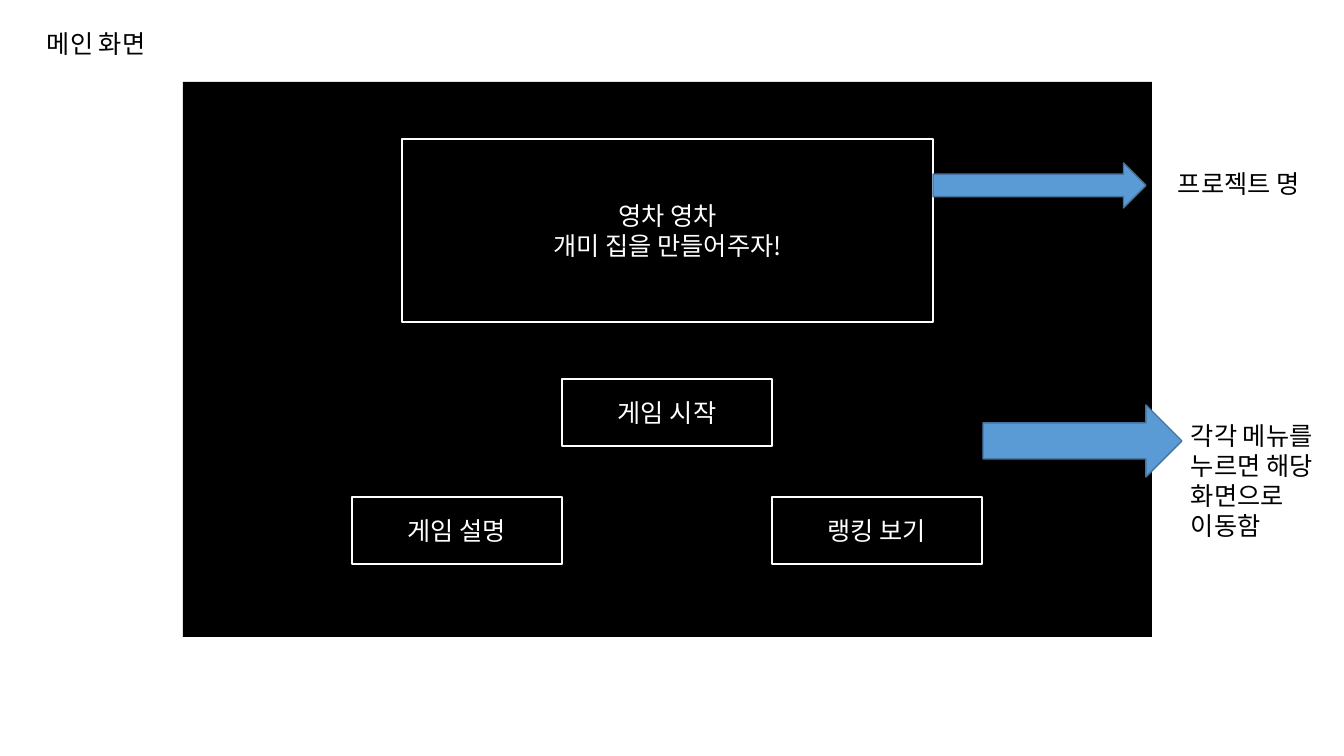
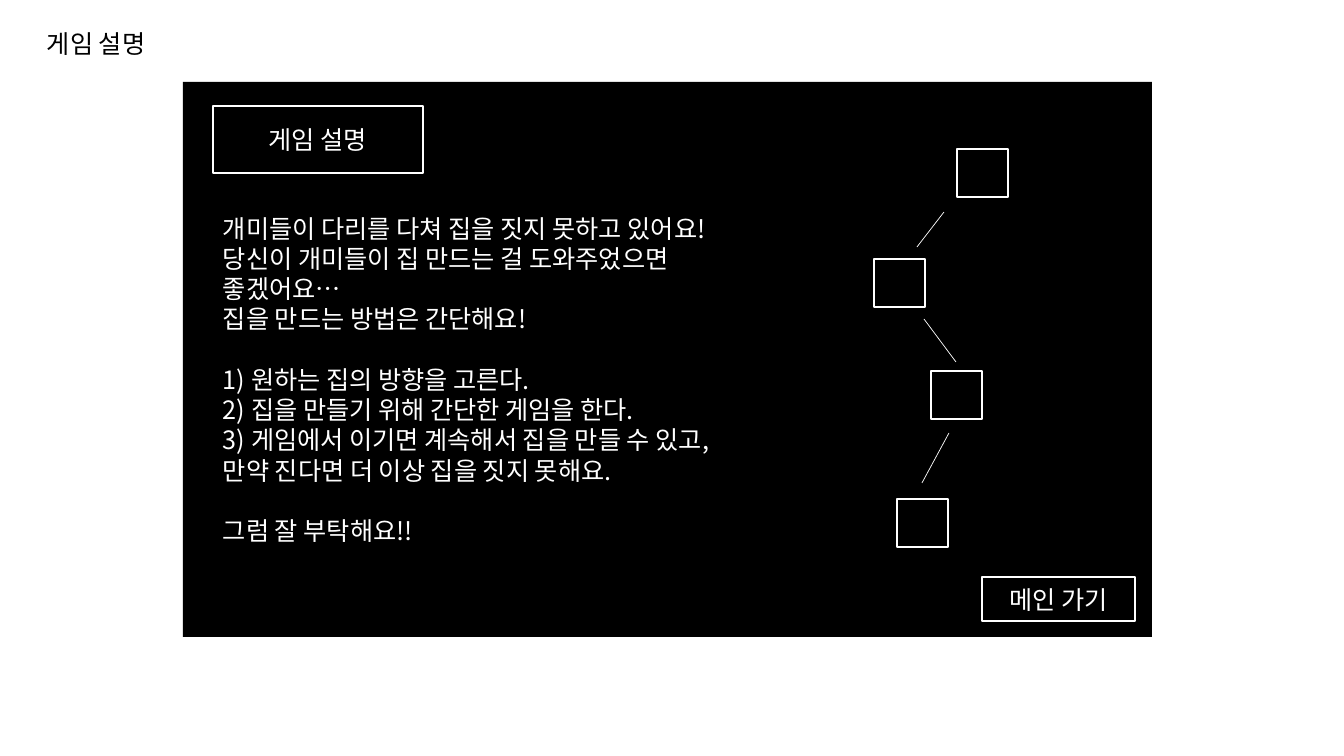
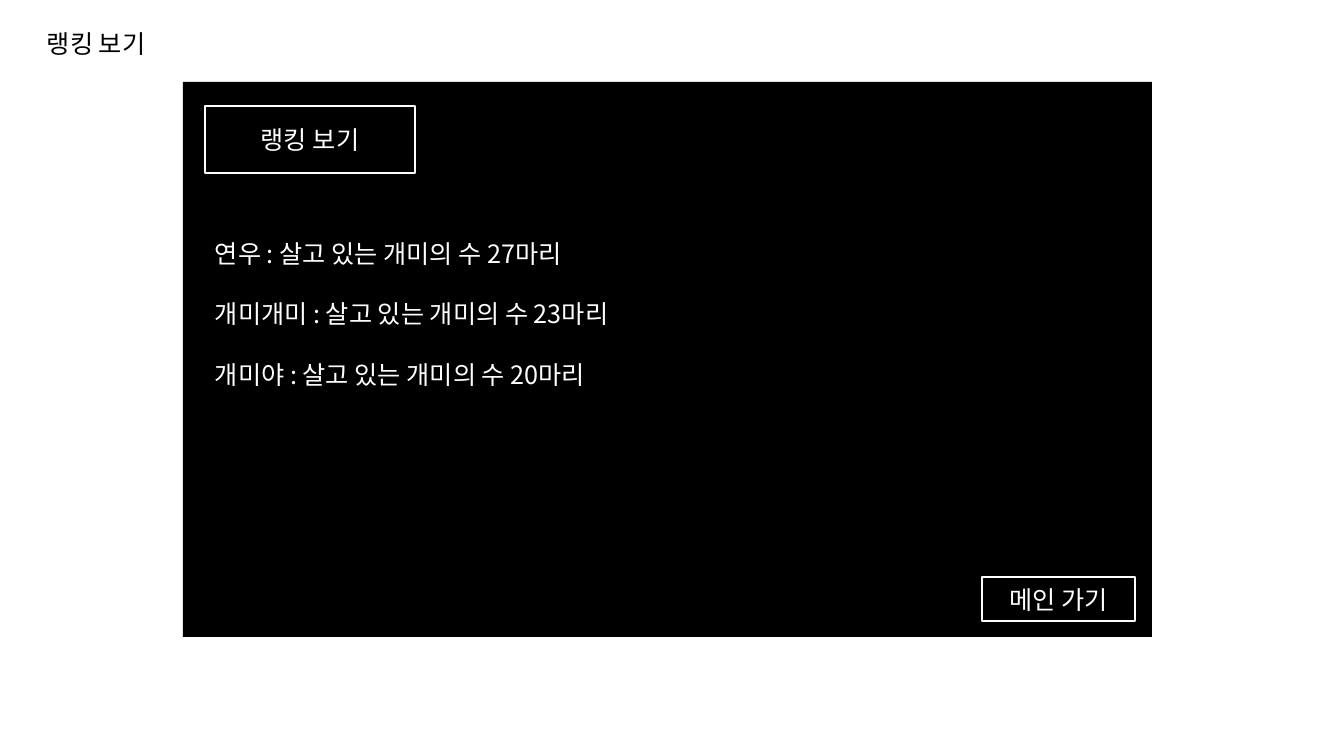
from lxml import etree
from pptx import Presentation, util as u
from pptx.dml.color import RGBColor
from pptx.enum import shapes, text
from pptx.oxml import ns

PIXEL = u.Inches(1) / 100.8
FONT = "Noto Sans CJK KR"
TEXT_SIZE = u.Pt(18)
LINE_GAP = u.Pt(21.6)
BLACK = RGBColor(0x00, 0x00, 0x00)
WHITE = RGBColor(0xFF, 0xFF, 0xFF)
BLUE = RGBColor(0x5B, 0x9B, 0xD5)
DARK_BLUE = RGBColor(0x43, 0x73, 0x9E)
BUTTON_WIDTH, BUTTON_HEIGHT = 210, 67


def px(*lengths):
    """Turn pixels into EMU."""
    return [u.Emu(round(length * PIXEL)) for length in lengths]


def write(shape, content, color, align=text.PP_ALIGN.LEFT):
    """Fill a shape with text in the common style."""
    frame = shape.text_frame
    frame.word_wrap = True
    frame.text = content
    for paragraph in frame.paragraphs:
        paragraph.alignment = align
        for run in paragraph.runs:
            run.font.size = TEXT_SIZE
            run.font.name = FONT
            run.font.color.rgb = color
            east_asian = etree.SubElement(run.font._element, ns.qn("a:ea"))
            east_asian.set("typeface", FONT)


def add_label(slide, left, top, width, height, content, color=BLACK, gaps=()):
    """Add a text box; gaps lists the paragraphs preceded by a line of space."""
    box = slide.shapes.add_textbox(*px(left, top, width, height))
    write(box, content, color)
    for index in gaps:
        box.text_frame.paragraphs[index].space_before = LINE_GAP


def add_block(slide, kind, left, top, width, height, fill, line=None):
    """Add a filled preset shape, outlined when a line colour is given."""
    shape = slide.shapes.add_shape(kind, *px(left, top, width, height))
    shape.shadow.inherit = False
    shape.fill.solid()
    shape.fill.fore_color.rgb = fill
    if line is None:
        shape.line.fill.background()
    else:
        shape.line.color.rgb = line
        shape.line.width = u.Pt(1)
    return shape


def add_box(slide, left, top, width=BUTTON_WIDTH, height=BUTTON_HEIGHT, content=""):
    """Add a black box with a white outline and centred text."""
    box = add_block(slide, shapes.MSO_SHAPE.RECTANGLE, left, top, width, height, BLACK, WHITE)
    if content:
        box.text_frame.vertical_anchor = text.MSO_ANCHOR.MIDDLE
        write(box, content, WHITE, text.PP_ALIGN.CENTER)


def add_arrow(slide, left, top, width, height):
    """Add a blue arrow pointing to an explanation."""
    add_block(slide, shapes.MSO_SHAPE.RIGHT_ARROW, left, top, width, height, BLUE, DARK_BLUE)


def add_tunnel(slide, start, end):
    """Add a thin white line between two rooms of the nest."""
    line = slide.shapes.add_connector(shapes.MSO_CONNECTOR.STRAIGHT, *px(*start, *end))
    line.line.color.rgb = WHITE
    line.line.width = u.Pt(0.5)
    etree.SubElement(line._element.spPr, ns.qn("a:effectLst"))


def add_screen(presentation, title):
    """Add a slide with its title and the black game screen."""
    slide = presentation.slides.add_slide(presentation.slide_layouts[6])
    add_block(slide, shapes.MSO_SHAPE.RECTANGLE, 183, 82, 969, 555, BLACK)
    add_label(slide, 37, 23, 131, 40, title)
    return slide


def add_subscreen(presentation, title, left):
    """Add a screen with a heading box and the button back to the main screen."""
    slide = add_screen(presentation, title)
    add_box(slide, left, 106, content=title)
    add_box(slide, 982, 577, 153, 44, "메인 가기")
    return slide


def build_main_screen(presentation):
    """Build the main menu with its explanations."""
    slide = add_screen(presentation, "메인 화면")
    add_box(slide, 402, 139, 531, 183, "영차 영차\v개미 집을 만들어주자!")
    menu = (("게임 설명", 497), ("게임 시작", 379), ("랭킹 보기", 497))
    for column, (name, top) in enumerate(menu):
        add_box(slide, 352 + column * BUTTON_WIDTH, top, content=name)
    add_arrow(slide, 933, 163, 213, 45)
    add_label(slide, 1168, 163, 171, 40, "프로젝트 명")
    add_arrow(slide, 983, 405, 199, 72)
    add_label(slide, 1181, 415, 158, 132, "각각 메뉴를 누르면 해당 화면으로 이동함")


def build_guide(presentation):
    """Build the game rules beside a sketch of the nest."""
    slide = add_subscreen(presentation, "게임 설명", 213)
    rules = (
        "개미들이 다리를 다쳐 집을 짓지 못하고 있어요! "
        "당신이 개미들이 집 만드는 걸 도와주었으면 좋겠어요…\v집을 만드는 방법은 간단해요!",
        "1) 원하는 집의 방향을 고른다.",
        "2) 집을 만들기 위해 간단한 게임을 한다.",
        "3) 게임에서 이기면 계속해서 집을 만들 수 있고, 만약 진다면 더 이상 집을 짓지 못해요.",
        "그럼 잘 부탁해요!!",
    )
    add_label(slide, 213, 208, 552, 346, "\n".join(rules), WHITE, gaps=(1, 4))
    for left, top in ((957, 149), (874, 259), (931, 371), (897, 499)):
        add_box(slide, left, top, 51, 48)
    tunnels = (
        ((944, 212), (917, 247)),
        ((924, 319), (956, 362)),
        ((949, 433), (922, 483)),
    )
    for start, end in tunnels:
        add_tunnel(slide, start, end)


def build_ranking(presentation):
    """Build the list of players and their living ants."""
    slide = add_subscreen(presentation, "랭킹 보기", 205)
    players = (("연우", 27), ("개미개미", 23), ("개미야", 20))
    lines = [f"{name} : 살고 있는 개미의 수 {ants}마리" for name, ants in players]
    add_label(slide, 205, 233, 479, 163, "\n".join(lines), WHITE, gaps=(1, 2))


def main():
    """Build and save the presentation."""
    presentation = Presentation()
    presentation.slide_width, presentation.slide_height = px(1344, 756)
    build_main_screen(presentation)
    build_guide(presentation)
    build_ranking(presentation)
    presentation.save("out.pptx")


main()
